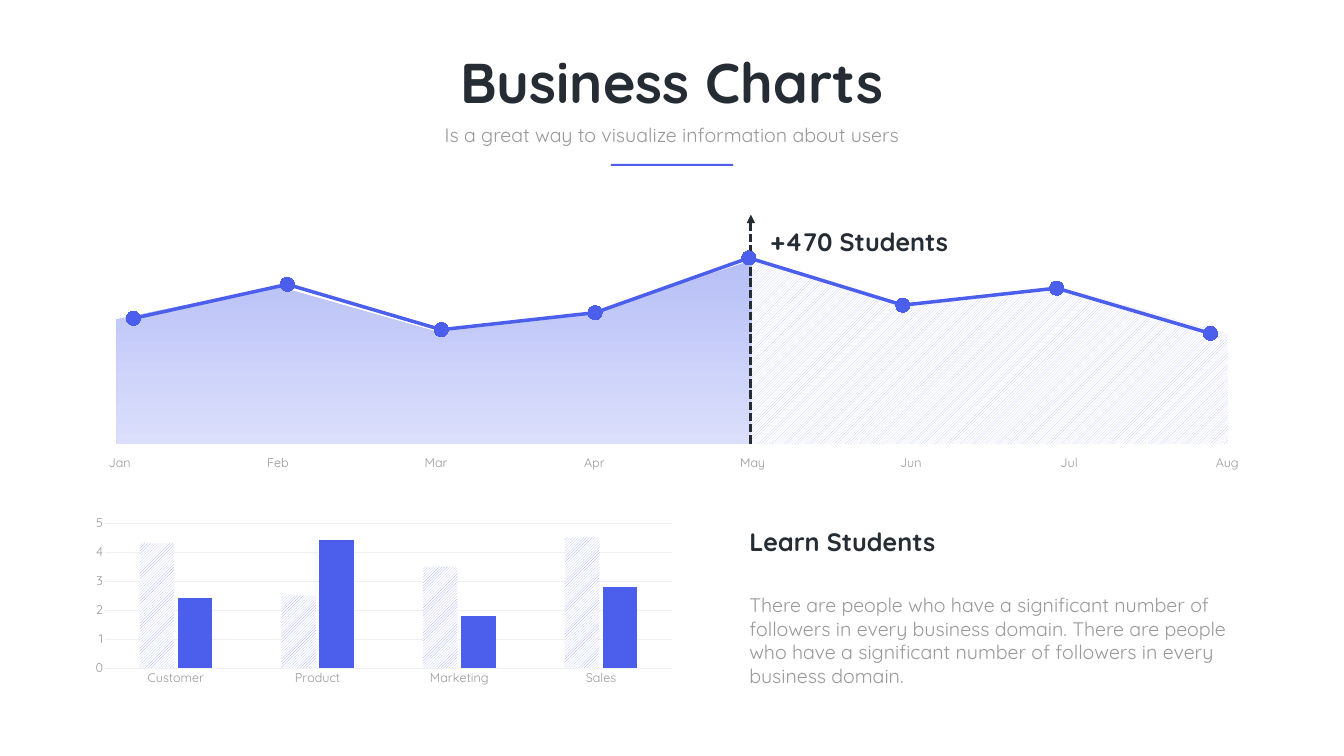
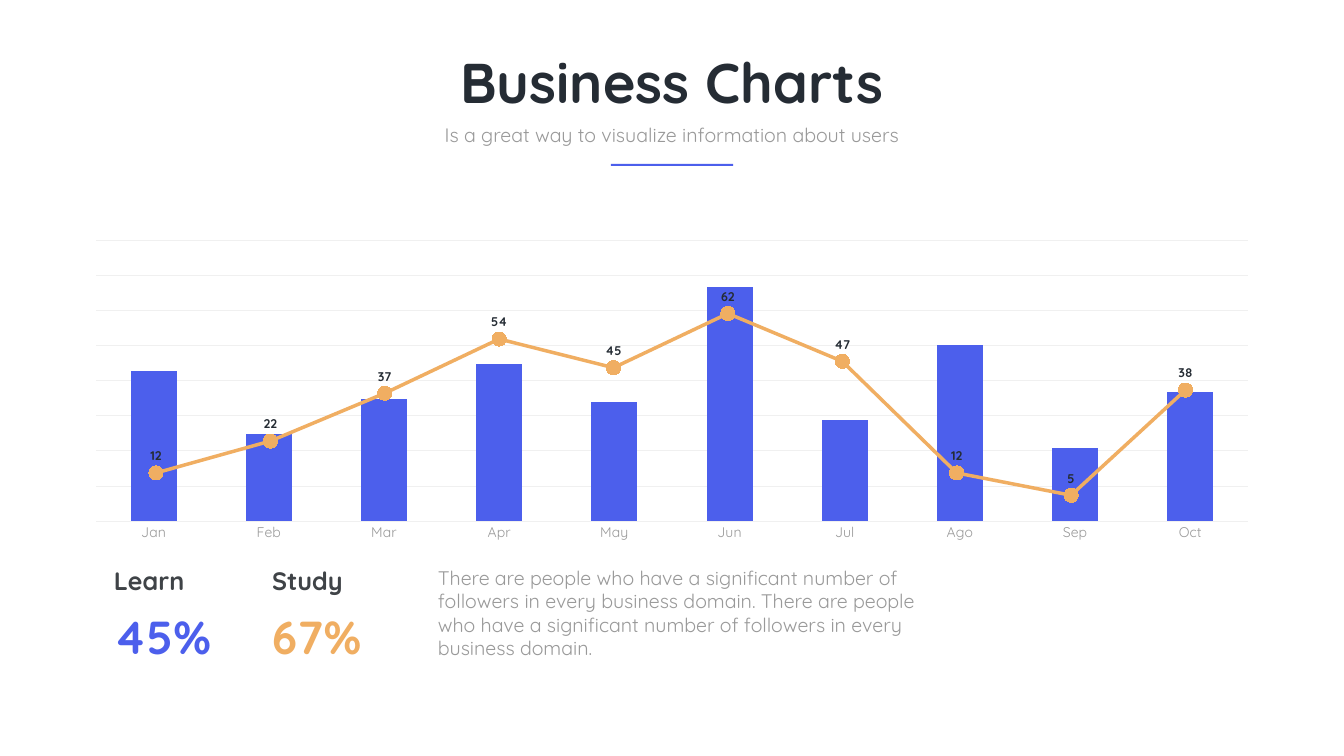
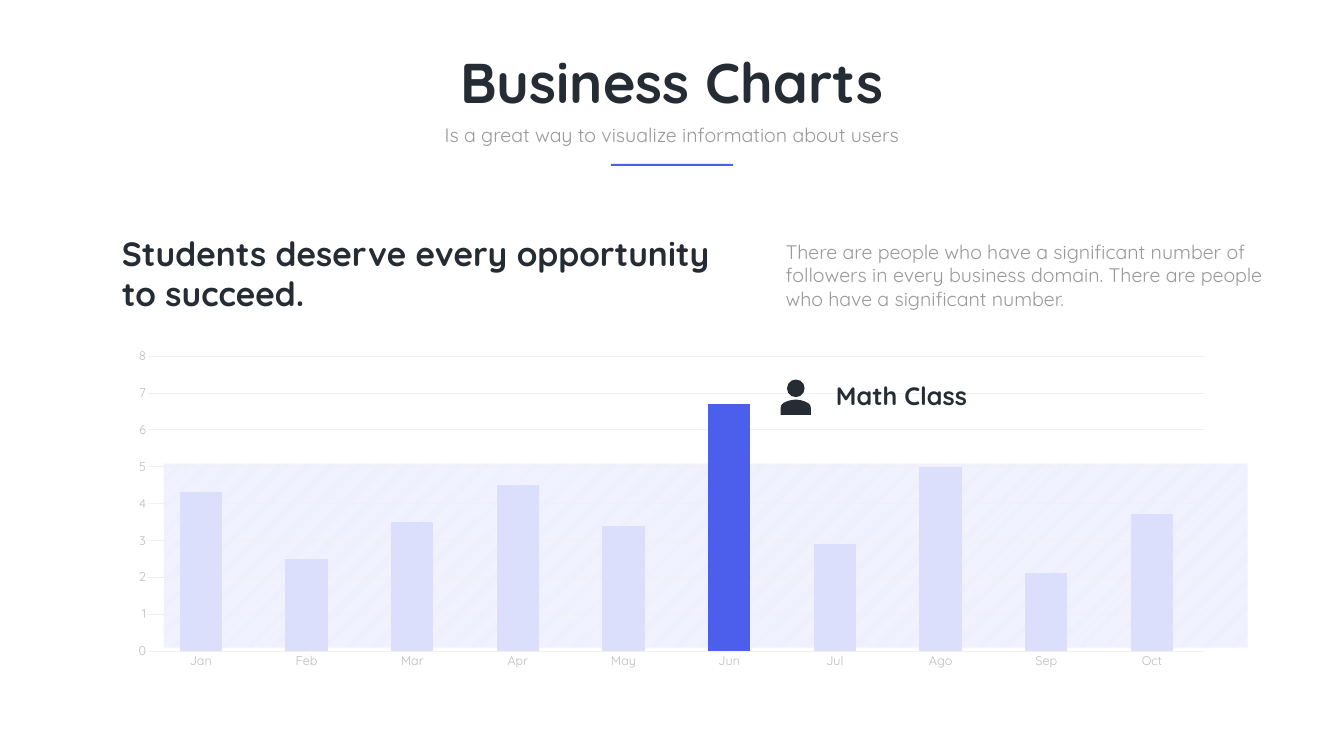
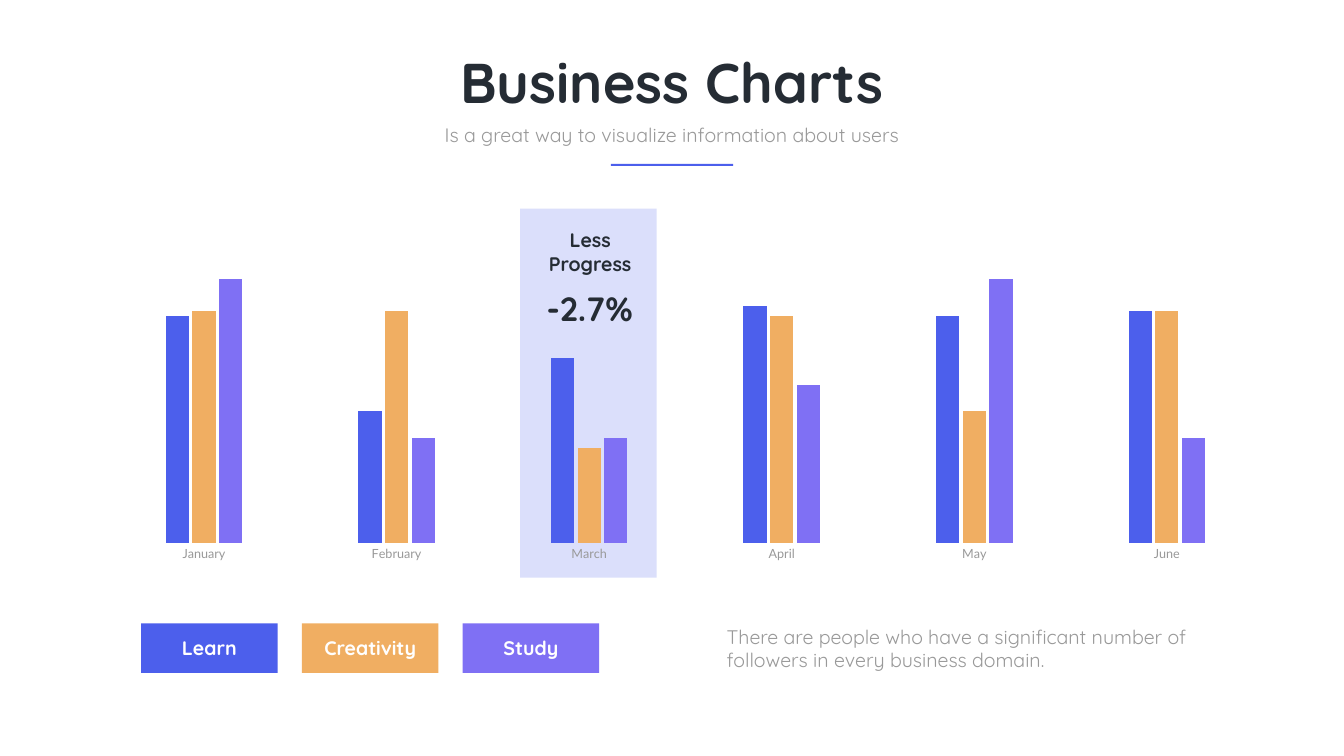
"""Builds four business chart slides on a grid of 160 columns by 90 rows."""
import lxml.etree
import pptx
import pptx.chart.data
import pptx.dml.color
import pptx.enum.chart
import pptx.enum.dml
import pptx.enum.shapes
import pptx.enum.text
import pptx.oxml.ns
import pptx.util

COLORS = {
    "ink": "252C34", "label": "3F4347", "gray": "999999", "pale_gray": "BDBDBD",
    "grid": "F0F0F0", "white": "FFFFFF", "blue": "4C5FEC", "orange": "F0AE62",
    "violet": "7F70F4", "hatch": "949FF4", "sky": "B7BFF7", "mist": "DBDFFB",
    "haze": "F3F4FF",
}
FONT = "Quicksand"
CHART = pptx.enum.chart.XL_CHART_TYPE
ALIGN = pptx.enum.text.PP_ALIGN
ANCHOR = pptx.enum.text.MSO_ANCHOR
MONTHS = ["Jan", "Feb", "Mar", "Apr", "May", "Jun", "Jul", "Ago", "Sep", "Oct"]
SENTENCE = "There are people who have a significant number of followers in every business domain."
FOLLOWERS = f"{SENTENCE} {SENTENCE}"


def rgb(color):
    """Return the RGB colour of a palette entry."""
    return pptx.dml.color.RGBColor.from_string(COLORS[color])


def add_xml(parent, tag, **attributes):
    """Append an XML element to a parent and return it."""
    return lxml.etree.SubElement(parent, pptx.oxml.ns.qn(tag), attributes)


class Deck:
    """Holds the style and the current slide."""

    def __init__(self):
        """Open an empty presentation of the right size."""
        self.presentation = pptx.Presentation()
        self.presentation.slide_width = pptx.util.Inches(26.67)
        self.presentation.slide_height = pptx.util.Inches(15)
        self.cell = self.presentation.slide_height / 90
        self.slide = None

    def emu(self, lengths):
        """Turn grid lengths into EMU."""
        return [round(length * self.cell) for length in lengths]

    def new_slide(self):
        """Start a slide with the shared title, subtitle and rule."""
        self.slide = self.presentation.slides.add_slide(self.presentation.slide_layouts[0])
        title, subtitle = self.slide.placeholders
        for holder, place in ((title, (41.28, 5.4, 77.46, 8.7)),
                              (subtitle, (51.3, 14.28, 57.36, 3.42))):
            holder.left, holder.top, holder.width, holder.height = self.emu(place)
        self.set_text(title.text_frame, "Business Charts", 80, "ink", True, ALIGN.CENTER)
        self.set_text(subtitle.text_frame, "Is a great way to visualize information about users",
                      28, "gray", False, ALIGN.CENTER)
        self.shape((72.72, 19.5, 14.58, 0.24), "blue")

    def style(self, font, size, color, bold=False, face=FONT):
        """Format a font."""
        font.name, font.size, font.bold = face, pptx.util.Pt(size), bold
        font.color.rgb = rgb(color)

    def set_text(self, frame, text, size, color, bold=False, align=ALIGN.LEFT,
                 anchor=ANCHOR.TOP, spacing=None):
        """Fill a text frame with one formatted paragraph."""
        frame.text = text
        frame.word_wrap = True
        frame.auto_size = pptx.enum.text.MSO_AUTO_SIZE.SHAPE_TO_FIT_TEXT
        frame.vertical_anchor = anchor
        if anchor == ANCHOR.MIDDLE:
            frame.margin_left = frame.margin_right = pptx.util.Inches(0.06)
            frame.margin_top = frame.margin_bottom = pptx.util.Inches(0.06)
        paragraph = frame.paragraphs[0]
        paragraph.alignment = align
        paragraph.space_before = pptx.util.Pt(0)
        if spacing:
            paragraph.line_spacing = spacing
        self.style(paragraph.runs[0].font, size, color, bold)

    def text(self, place, text, size=28, color="gray", bold=False, **layout):
        """Add a text box."""
        box = self.slide.shapes.add_textbox(*self.emu(place))
        self.set_text(box.text_frame, text, size, color, bold, **layout)

    def paint(self, fill, paint):
        """Fill with one colour, or with a (kind, first, second) mix."""
        if isinstance(paint, str):
            fill.solid()
            fill.fore_color.rgb = rgb(paint)
            return
        kind, first, second = paint
        if kind == "hatched":
            fill.patterned()
            fill.pattern = pptx.enum.dml.MSO_PATTERN.WIDE_UPWARD_DIAGONAL
            fill.fore_color.rgb, fill.back_color.rgb = rgb(first), rgb(second)
        else:
            fill.gradient()
            fill.gradient_angle = 270
            for stop, color in zip(fill.gradient_stops, (first, second)):
                stop.color.rgb = rgb(color)

    def finish(self, shape, paint):
        """Give a shape its fill and drop its outline and shadow."""
        self.paint(shape.fill, paint)
        shape.line.fill.background()
        shape.shadow.inherit = False
        return shape

    def shape(self, place, paint, kind=pptx.enum.shapes.MSO_SHAPE.RECTANGLE):
        """Add a preset shape."""
        return self.finish(self.slide.shapes.add_shape(kind, *self.emu(place)), paint)

    def outline(self, points, paint):
        """Add a closed polygon."""
        start, *others = [self.emu(point) for point in points]
        builder = self.slide.shapes.build_freeform(*start)
        builder.add_line_segments(others, close=True)
        self.finish(builder.convert_to_shape(), paint)

    def dashed_arrow(self, start, end):
        """Add a dashed line that ends in an arrowhead."""
        arrow = self.slide.shapes.add_connector(
            pptx.enum.shapes.MSO_CONNECTOR.STRAIGHT, *self.emu(start + end))
        arrow.line.color.rgb = rgb("ink")
        arrow.line.width = pptx.util.Pt(4)
        arrow.line.dash_style = pptx.enum.dml.MSO_LINE.SQUARE_DOT
        properties = arrow._element.spPr
        add_xml(properties.find(pptx.oxml.ns.qn("a:ln")), "a:tailEnd", type="triangle")
        add_xml(properties, "a:effectLst")

    def chart(self, kind, place, plot_place, categories, rows, paints, top, step,
              size=18, face=FONT, axis_color="gray", axis_line="grid",
              show_categories=True, show_values=False, grid=False):
        """Add a chart whose plot area has a fixed place on the slide."""
        data = pptx.chart.data.CategoryChartData()
        data.categories = categories
        for number, values in enumerate(rows, 1):
            data.add_series(f"Series {number}", values)
        chart = self.slide.shapes.add_chart(kind, *self.emu(place), data).chart
        chart.has_legend = chart.has_title = False
        self.style(chart.font, size, "gray", face=face)
        self.clear_back(chart)
        self.place_plot(chart, place, plot_place)

        values_axis, category_axis = chart.value_axis, chart.category_axis
        values_axis.minimum_scale, values_axis.maximum_scale = 0, top
        values_axis.major_unit = step
        values_axis.has_major_gridlines = grid
        if grid:
            self.hairline(values_axis.major_gridlines.format.line, "grid")
        for axis, shown, line in ((category_axis, show_categories, axis_line),
                                  (values_axis, show_values, None)):
            axis.visible = shown
            axis.major_tick_mark = pptx.enum.chart.XL_TICK_MARK.NONE
            self.style(axis.tick_labels.font, size, axis_color, face=face)
            self.hairline(axis.format.line, line)

        plot = chart.plots[0]
        plot.vary_by_categories = False
        for series, paint in zip(plot.series, paints):
            if kind == CHART.LINE_MARKERS:
                self.draw_line(series, paint)
            else:
                self.paint(series.format.fill, paint)
        return plot

    def hairline(self, line, color):
        """Draw a thin line, or none when there is no colour."""
        if color:
            line.color.rgb = rgb(color)
            line.width = pptx.util.Pt(0.75)
        else:
            line.fill.background()

    def clear_back(self, chart):
        """Make the chart and its plot area transparent."""
        space = chart._chartSpace
        for part in (space, space.chart.plotArea):
            back = add_xml(part, "c:spPr")
            add_xml(back, "a:noFill")
            add_xml(add_xml(back, "a:ln"), "a:noFill")
            if part is space:
                space.chart.addnext(back)

    def place_plot(self, chart, place, plot_place):
        """Fix the inner plot area within the chart."""
        area = chart._chartSpace.chart.plotArea
        for automatic in area.findall(pptx.oxml.ns.qn("c:layout")):
            area.remove(automatic)
        layout = add_xml(area, "c:layout")
        area.insert(0, layout)
        manual = add_xml(layout, "c:manualLayout")
        left, top, width, height = place
        plot_left, plot_top, plot_width, plot_height = plot_place
        shares = {
            "x": (plot_left - left) / width, "y": (plot_top - top) / height,
            "w": plot_width / width, "h": plot_height / height,
        }
        add_xml(manual, "c:layoutTarget", val="inner")
        for side in "xy":
            add_xml(manual, f"c:{side}Mode", val="edge")
        for side, share in shares.items():
            add_xml(manual, f"c:{side}", val=f"{share:.4f}")

    def draw_line(self, series, color):
        """Format a line series with round markers."""
        series.smooth = False
        series.format.line.color.rgb = rgb(color)
        series.format.line.width = pptx.util.Pt(5)
        series.marker.style = pptx.enum.chart.XL_MARKER_STYLE.CIRCLE
        series.marker.size = 20
        self.paint(series.marker.format.fill, color)
        series.marker.format.line.fill.background()


def add_growth(deck):
    """Students by month, past and expected."""
    deck.new_slide()
    floor = 52.86
    past = [(13.86, 38.04), (33, 34.08), (51.66, 39.42), (70.5, 37.32), (89.52, 30.96)]
    expected = [(89.58, 30.96), (108.48, 36.42), (127.08, 34.32), (146.16, 39.72)]
    deck.outline(past + [(89.64, floor), (13.86, floor)], ("gradient", "sky", "mist"))
    deck.outline(expected + [(146.22, floor), (89.46, floor)], ("hatched", "sky", "white"))
    deck.dashed_arrow((89.4, 52.8), (89.4, 25.56))
    deck.text((91.14, 26.64, 25.44, 4.26), "+470 Students", 36, "ink", True)
    for index, month in enumerate(MONTHS[:7] + ["Aug"]):
        deck.text((6.24 + 18.84 * index, 53.88, 16.02, 2.4), month, 18, align=ALIGN.CENTER)
    bars = deck.chart(
        CHART.COLUMN_CLUSTERED, (9.9, 60.9, 71.52, 21.18), (12.5, 62.26, 67.5, 17.26),
        ["Customer", "Product", "Marketing", "Sales"],
        [[4.3, 2.5, 3.5, 4.5], [2.4, 4.4, 1.8, 2.8]],
        [("hatched", "hatch", "white"), "blue"], 5, 1, show_values=True, grid=True)
    bars.gap_width, bars.overlap = 200, -10
    deck.text((88.62, 70.32, 59.7, 11.94), FOLLOWERS)
    deck.text((88.62, 62.4, 59.7, 4.26), "Learn Students", 36, "ink", True)
    deck.chart(
        CHART.LINE_MARKERS, (3.66, 27.66, 152.64, 26.22), (6.73, 28.46, 146.56, 24.73),
        [str(number) for number in range(1, 9)], [[68, 86, 62, 71, 100, 75, 84, 60]],
        ["blue"], 110, 10, size=20, show_categories=False)


def add_learn_and_study(deck):
    """Columns for learning under a line for studying."""
    deck.new_slide()
    learn = deck.chart(
        CHART.COLUMN_STACKED, (8.46, 27.84, 143.04, 37.32), (11.43, 28.57, 137.14, 33.45),
        MONTHS, [[64, 37, 52, 67, 51, 100, 43, 75, 31, 55]], ["blue"], 120, 15,
        size=20, grid=True)
    learn.gap_width, learn.overlap = 150, 100
    study = deck.chart(
        CHART.LINE_MARKERS, (8.94, 33.78, 141.9, 27.66), (11.76, 34.29, 136.19, 26.58),
        [str(number) for number in range(1, 11)], [[12, 22, 37, 54, 45, 62, 47, 12, 5, 38]],
        ["orange"], 70, 10, show_categories=False)
    labels = study.series[0].data_labels
    labels.show_value = True
    labels.position = pptx.enum.chart.XL_LABEL_POSITION.ABOVE
    deck.style(labels.font, 18, "ink", True)
    for left, topic, share, color in ((13.2, "Learn", "45%", "blue"),
                                      (32.04, "Study", "67%", "orange")):
        deck.text((left, 67.98, 23.16, 3.24), topic, 36, "label", True,
                  anchor=ANCHOR.MIDDLE, spacing=0.7)
        deck.text((left, 72.06, 23.16, 7.32), share, 66, color, True, anchor=ANCHOR.MIDDLE)
    deck.text((51.54, 67.02, 59.1, 11.94), FOLLOWERS)


def add_math_class(deck):
    """Monthly columns with one month picked out."""
    deck.new_slide()
    deck.shape((19.5, 55.2, 129.06, 21.9), ("hatched", "mist", "haze"))
    classes = deck.chart(
        CHART.COLUMN_STACKED, (13.92, 40.62, 132.24, 39.78), (17.62, 42.38, 125.83, 35.12),
        MONTHS, [[4.3, 2.5, 3.5, 4.5, 3.4, 6.7, 2.9, 5, 2.1, 3.7]], ["mist"], 8, 1,
        axis_color="pale_gray", show_values=True, grid=True)
    classes.gap_width, classes.overlap = 150, 100
    deck.paint(classes.series[0].points[MONTHS.index("Jun")].format.fill, "blue")
    shoulders = [(94.74 + 0.3 * step, 47.58 + 0.42 * (step / 5) ** 2) for step in range(-5, 6)]
    deck.outline([(92.94, 49.38), (92.94, 48.54), (93.04, 48.2), *shoulders,
                  (96.44, 48.2), (96.54, 48.54), (96.54, 49.38)], "ink")
    deck.shape((93.7, 45.18, 2.1, 2.1), "ink", pptx.enum.shapes.MSO_SHAPE.OVAL)
    deck.text((98.94, 45, 25.44, 4.26), "Math Class", 36, "ink", True)
    deck.text((13.92, 27.42, 73.14, 10.32),
              "Students deserve every opportunity to succeed.", 48, "ink", True)
    deck.text((92.94, 28.26, 59.1, 9.06),
              f"{SENTENCE} There are people who have a significant number.")


def add_progress(deck):
    """Three subjects by month with the weakest month marked."""
    deck.new_slide()
    subjects = {
        "Learn": ("blue", [86, 50, 70, 90, 86, 88]),
        "Creativity": ("orange", [88, 88, 36, 86, 50, 88]),
        "Study": ("violet", [100, 40, 40, 60, 100, 40]),
    }
    colors, rows = zip(*subjects.values())
    deck.shape((61.92, 24.84, 16.26, 43.92), "mist")
    progress = deck.chart(
        CHART.COLUMN_CLUSTERED, (5.7, 22.86, 148.56, 46.5), (12.83, 26.95, 137.57, 37.76),
        ["January", "February", "March", "April", "May", "June"], rows, colors, 120, 20,
        face="Lato", axis_line=None)
    progress.gap_width, progress.overlap = 500, -15
    for index, (subject, color) in enumerate(zip(subjects, colors)):
        key = deck.shape((16.8 + 19.14 * index, 74.22, 16.26, 5.88), color)
        deck.set_text(key.text_frame, subject, 28, "white", True, ALIGN.CENTER, ANCHOR.MIDDLE)
        key.text_frame.auto_size = pptx.enum.text.MSO_AUTO_SIZE.NONE
    deck.text((85.92, 74.04, 61.02, 6.24), SENTENCE)
    deck.text((63.72, 26.88, 13.08, 6.24), "Less Progress", 28, "ink", True, align=ALIGN.CENTER)
    deck.text((58.74, 33.96, 22.92, 5.52), "-2.7%", 48, "ink", True,
              align=ALIGN.CENTER, anchor=ANCHOR.MIDDLE)


def main():
    """Build all slides and save them."""
    deck = Deck()
    for add_page in (add_growth, add_learn_and_study, add_math_class, add_progress):
        add_page(deck)
    deck.presentation.save("out.pptx")


if __name__ == "__main__":
    main()
